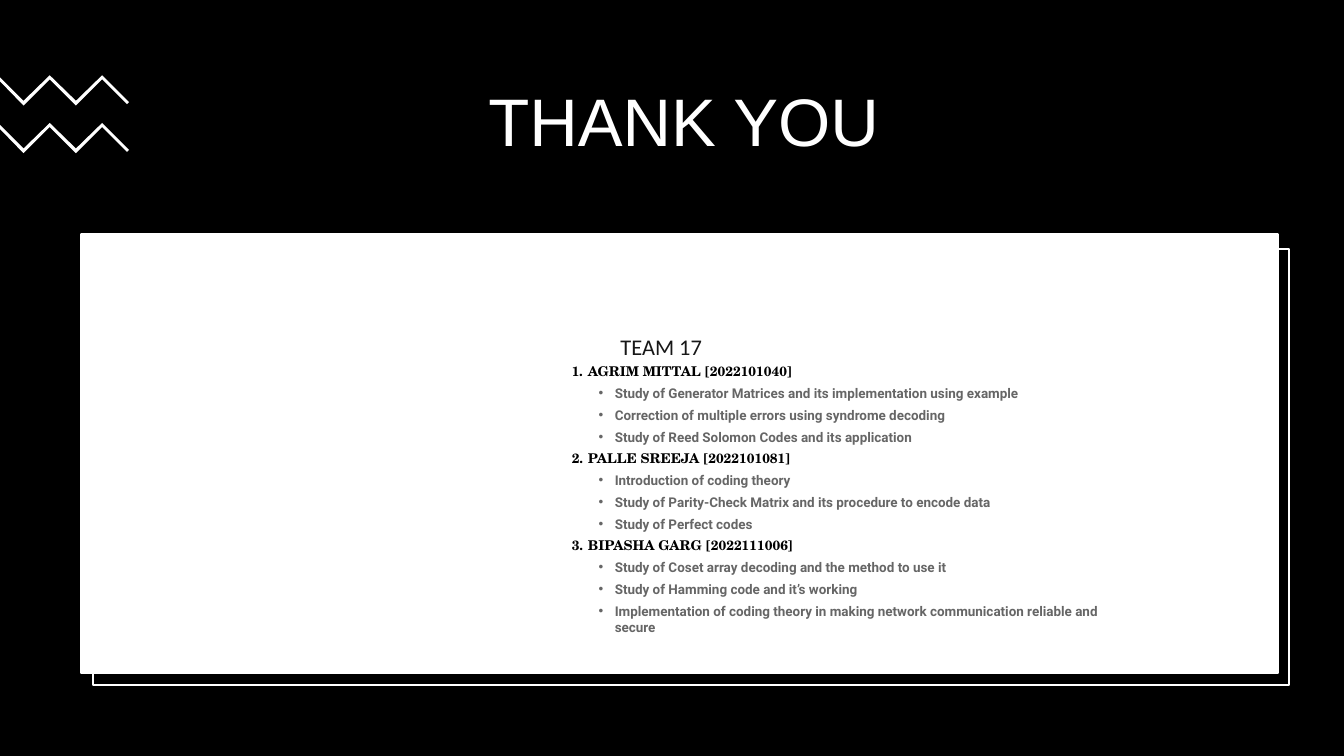
from pptx import Presentation
from pptx.dml.color import RGBColor
from pptx.enum.shapes import MSO_SHAPE as SHAPE
from pptx.enum.text import MSO_ANCHOR as ANCHOR, MSO_AUTO_SIZE as AUTO, PP_ALIGN as ALIGN
from pptx.oxml.xmlchemy import OxmlElement
from pptx.util import Inches, Pt

COLORS = {"black": "000000", "white": "FFFFFF", "ink": "171717", "gray": "666666"}

TEAM = [
    ("AGRIM MITTAL [2022101040]", ALIGN.JUSTIFY, [
        "Study of Generator Matrices and its implementation using example",
        "Correction of multiple errors using syndrome decoding",
        "Study of Reed Solomon Codes and its application",
    ]),
    ("PALLE SREEJA [2022101081]", ALIGN.JUSTIFY, [
        "Introduction of coding theory",
        "Study of Parity-Check Matrix and its procedure to encode data",
        "Study of Perfect codes",
    ]),
    ("BIPASHA GARG [2022111006]", ALIGN.LEFT, [
        "Study of Coset array decoding and the method to use it",
        "Study of Hamming code and it’s working",
        "Implementation of coding theory in making network communication reliable and secure",
    ]),
]

ZIGZAG = [(0.74, 0), (1.13, 0.38), (1.52, 0), (1.92, 0.4), (1.89, 0.43), (1.52, 0.06),
          (1.13, 0.45), (0.74, 0.06), (0.35, 0.45), (0, 0.09), (0, 0.03), (0.35, 0.38)]


def rgb(name):
    return RGBColor.from_string(COLORS[name])


def write(p, text, size, font, color, bold=False, align=ALIGN.CENTER, spacing=None):
    p.alignment = align
    p.line_spacing = spacing
    p.space_before = Pt(0)
    p.space_after = Pt(6)
    r = p.add_run()
    r.text = text
    r.font.size = Pt(size)
    r.font.name = font
    r.font.bold = bold
    r.font.color.rgb = rgb(color)


def add_bullet(p, left, number=None):
    pPr = p._p.get_or_add_pPr()
    pPr.set("marL", str(Inches(left)))
    pPr.set("indent", str(Inches(-0.24)))
    if number:
        bullet = OxmlElement("a:buAutoNum")
        bullet.set("type", "arabicPeriod")
        bullet.set("startAt", str(number))
    else:
        font = OxmlElement("a:buFont")
        font.set("typeface", "Arial")
        pPr.append(font)
        bullet = OxmlElement("a:buChar")
        bullet.set("char", "•")
    pPr.append(bullet)


def add_title(s, text):
    title = s.shapes.title
    title.left, title.top = Inches(2.18), Inches(0.93)
    title.width, title.height = Inches(15.99), Inches(1.85)
    tf = title.text_frame
    tf.auto_size = AUTO.NONE
    tf.vertical_anchor = ANCHOR.MIDDLE
    write(tf.paragraphs[0], text, 72, "Arial", "white", spacing=0.9)


def add_zigzag(s, top):
    points = [(Inches(x), Inches(top + y)) for x, y in ZIGZAG]
    builder = s.shapes.build_freeform(*points[0])
    builder.add_line_segments(points[1:], close=True)
    sp = builder.convert_to_shape()
    sp.shadow.inherit = False
    sp.fill.solid()
    sp.fill.fore_color.rgb = rgb("white")
    sp.line.fill.background()


def add_panel(s, left, top, width, height, fill):
    sp = s.shapes.add_shape(SHAPE.RECTANGLE, Inches(left), Inches(top), Inches(width), Inches(height))
    sp.shadow.inherit = False
    sp.fill.solid()
    sp.fill.fore_color.rgb = rgb(fill)
    sp.line.color.rgb = rgb("white")
    sp.line.width = Pt(2.25)


def add_text_frame(s, left, top, width, height):
    box = s.shapes.add_textbox(Inches(left), Inches(top), Inches(width), Inches(height))
    box.text_frame.word_wrap = True
    return box.text_frame


def add_heading(s, text):
    tf = add_text_frame(s, 8.81, 4.89, 2.06, 0.46)
    tf.margin_left = tf.margin_right = tf.margin_top = tf.margin_bottom = 0
    write(tf.paragraphs[0], text, 24, "Calibri", "ink", spacing=Pt(33.6))


def add_team(s):
    tf = add_text_frame(s, 8.25, 5.36, 8.81, 4.32)
    for number, (member, task_align, tasks) in enumerate(TEAM, 1):
        p = tf.paragraphs[0] if number == 1 else tf.add_paragraph()
        write(p, member, 14.4, "TeX Gyre Schola", "black", bold=True, align=ALIGN.JUSTIFY)
        add_bullet(p, 0.4, number)
        for task in tasks:
            p = tf.add_paragraph()
            write(p, task, 14.4, "Roboto", "gray", bold=True, align=task_align)
            add_bullet(p, 0.8)


def main():
    prs = Presentation()
    prs.slide_width, prs.slide_height = Inches(20), Inches(11.25)
    s = prs.slides.add_slide(prs.slide_layouts[5])
    s.background.fill.solid()
    s.background.fill.fore_color.rgb = rgb("black")
    add_title(s, "THANK YOU")
    for top in (1.12, 1.83):
        add_zigzag(s, top)
    add_panel(s, 1.38, 3.7, 17.8, 6.49, "black")
    add_panel(s, 1.21, 3.49, 17.81, 6.52, "white")
    add_heading(s, "TEAM 17")
    add_team(s)
    prs.save("out.pptx")


if __name__ == "__main__":
    main()
